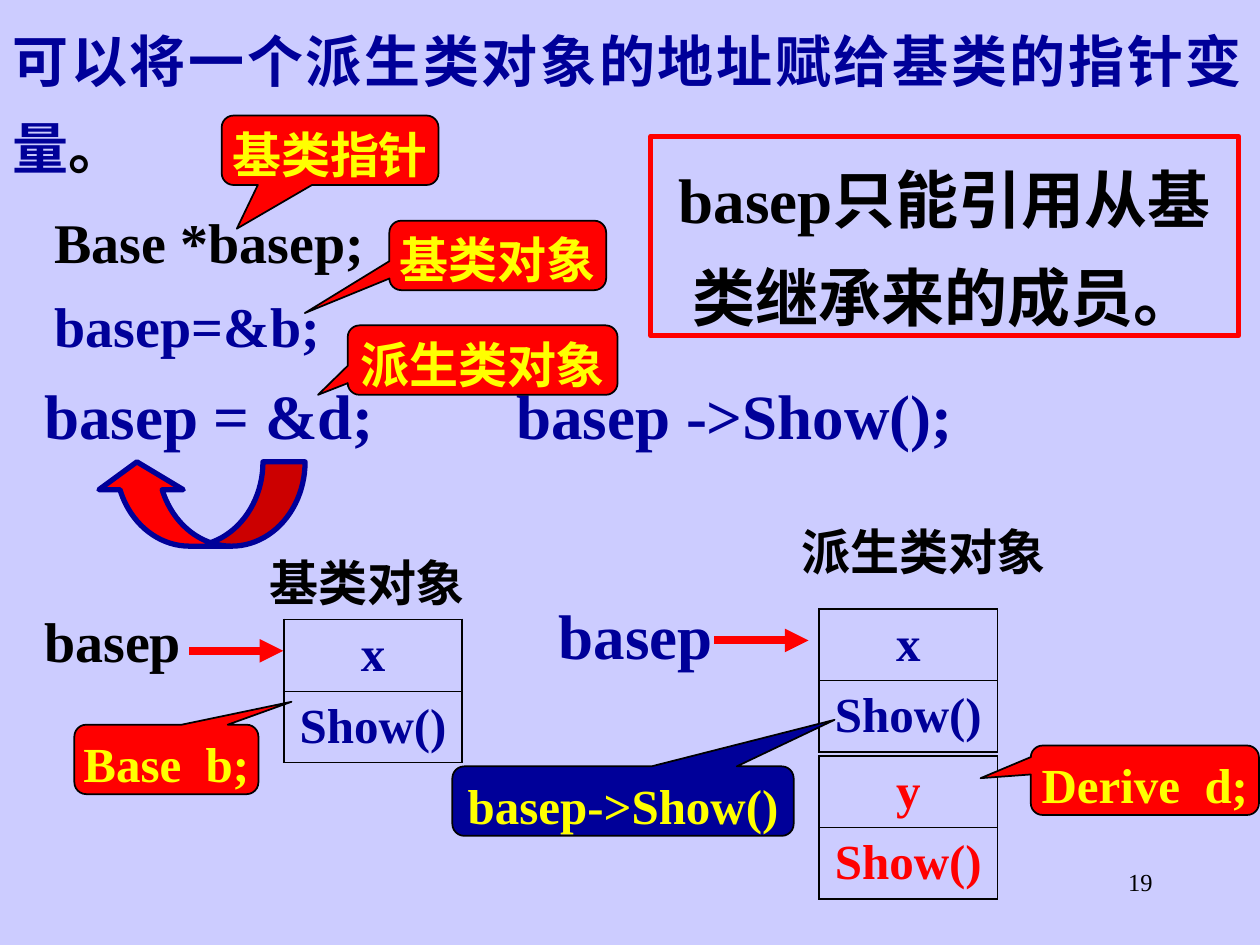
from dataclasses import dataclass

from lxml import etree
from pptx import Presentation
from pptx.dml.color import RGBColor
from pptx.enum.shapes import MSO_CONNECTOR, MSO_SHAPE
from pptx.enum.text import MSO_ANCHOR, MSO_AUTO_SIZE, PP_ALIGN
from pptx.oxml.ns import qn
from pptx.util import Cm, Pt

LEFT, CENTER, RIGHT, JUSTIFY = PP_ALIGN.LEFT, PP_ALIGN.CENTER, PP_ALIGN.RIGHT, PP_ALIGN.JUSTIFY
TOP, MIDDLE = MSO_ANCHOR.TOP, MSO_ANCHOR.MIDDLE
FIXED = MSO_AUTO_SIZE.NONE
STRAIGHT = MSO_CONNECTOR.STRAIGHT
RECT = MSO_SHAPE.RECTANGLE
CALLOUT = MSO_SHAPE.ROUNDED_RECTANGULAR_CALLOUT
CURVE = MSO_SHAPE.CURVED_DOWN_ARROW


@dataclass(frozen=True)
class Theme:
    font: str = "Times New Roman"
    back: str = "CCCCFF"
    blue: str = "000099"
    red: str = "FF0000"
    gold: str = "FFFF00"
    black: str = "000000"
    page: int = 14
    label: int = 28
    code: int = 32
    large: int = 36


THEME = Theme()


def rgb(code):
    return RGBColor.from_string(code)


def apply(item, form):
    for name, value in form.items():
        setattr(item, name, value)


def write(frame, runs, size, align=LEFT, space=1.1, pad=(0.05, 0.03), wrap=True, bold=True):
    side, edge = map(Cm, pad)
    apply(frame, {
        "word_wrap": wrap, "auto_size": FIXED, "vertical_anchor": TOP,
        "margin_left": side, "margin_right": side,
        "margin_top": edge, "margin_bottom": edge,
    })
    fill_line(frame.paragraphs[0], runs, size, align, space, bold)


def fill_line(para, runs, size, align, space=1.0, bold=True):
    apply(para, {"alignment": align, "line_spacing": space, "space_before": Pt(0)})
    for text, color in runs:
        run = para.add_run()
        run.text = text
        apply(run.font, {"name": THEME.font, "size": Pt(size), "bold": bold})
        run.font.color.rgb = rgb(color)


def add_title(slide, runs):
    title = slide.shapes.title
    apply(title, {"left": Cm(0), "top": Cm(0), "width": Cm(25.3), "height": Cm(2.03)})
    write(title.text_frame, runs, THEME.code, JUSTIFY, 1.3, (0.25, 0.13))
    title.text_frame.paragraphs[0]._p.get_or_add_pPr().set("hangingPunct", "0")


def add_text(slide, box, text, color, size, **form):
    shape = slide.shapes.add_textbox(*map(Cm, box))
    write(shape.text_frame, [(text, color)], size, **form)


def add_form(slide, kind, box, fill, line, width, turns=()):
    shape = slide.shapes.add_shape(kind, *map(Cm, box))
    shape.shadow.inherit = False
    if fill:
        shape.fill.solid()
        shape.fill.fore_color.rgb = rgb(fill)
    else:
        shape.fill.background()
    shape.line.color.rgb = rgb(line)
    shape.line.width = Pt(width)
    for i, turn in enumerate(turns):
        shape.adjustments[i] = turn
    return shape


def add_callout(slide, box, text, tip, fill):
    shape = add_form(slide, CALLOUT, box, fill, THEME.black, 1, (*tip, 0.17))
    write(shape.text_frame, [(text, THEME.gold)], THEME.label, CENTER,
          pad=(0.05, 0), wrap=False)


def add_arrow(slide, left, top):
    arrow = slide.shapes.add_connector(STRAIGHT, Cm(left), Cm(top), Cm(left + 1.9), Cm(top))
    arrow.line.color.rgb = rgb(THEME.red)
    arrow.line.width = Pt(4.5)
    props = arrow._element.spPr
    etree.SubElement(props.find(qn("a:ln")), qn("a:tailEnd"), type="triangle")
    etree.SubElement(props, qn("a:effectLst"))


def add_border(cell, side, width):
    line = etree.SubElement(cell._tc.get_or_add_tcPr(), qn("a:ln" + side), w=str(Pt(width)))
    solid = etree.SubElement(line, qn("a:solidFill"))
    etree.SubElement(solid, qn("a:srgbClr"), val=THEME.black)


def add_object(slide, left, top, names, color):
    high = 1.44
    table = slide.shapes.add_table(
        len(names), 1, Cm(left), Cm(top), Cm(3.6), Cm(high * len(names))).table
    apply(table, {"first_row": False, "horz_banding": False})
    last = len(names) - 1
    for i, name in enumerate(names):
        table.rows[i].height = Cm(high)
        cell = table.cell(i, 0)
        widths = {"L": 1.08, "R": 1.08,
                  "T": 0.45 if i else 1.08, "B": 0.45 if i < last else 1.08}
        for side, width in widths.items():
            add_border(cell, side, width)
        cell.fill.background()
        cell.vertical_anchor = MIDDLE
        fill_line(cell.text_frame.paragraphs[0], [(name, color)], THEME.label, CENTER)


def main():
    deck = Presentation()
    apply(deck, {"slide_width": Cm(25.4), "slide_height": Cm(19.05)})
    slide = deck.slides.add_slide(deck.slide_layouts[5])
    slide.background.fill.solid()
    slide.background.fill.fore_color.rgb = rgb(THEME.back)
    t = THEME

    add_title(slide, [("可以将一个派生类对象的地址赋给基类的指针变量", t.blue), ("。", t.black)])
    add_text(slide, (18.21, 17.35, 5.28, 1.27), "19", t.black, t.page,
             align=RIGHT, space=1.0, pad=(0.25, 0.13), bold=False)

    for box, text in (
        ((5.28, 11, 4.24, 1.37), "基类对象"),
        ((16.08, 10.36, 5.08, 1.37), "派生类对象"),
    ):
        add_text(slide, box, text, t.black, t.label, align=CENTER)

    for box, text, color, size in (
        ((1.05, 4.02, 7.62, 1.55), "Base *basep;", t.black, t.code),
        ((1.05, 5.71, 7.62, 1.55), "basep=&b;", t.blue, t.code),
        ((0.84, 7.41, 6.78, 1.73), "basep = &d;", t.blue, t.large),
        ((10.36, 7.41, 11.43, 1.73), "basep ->Show();", t.blue, t.large),
        ((0.84, 12.07, 3.18, 1.55), "basep", t.black, t.code),
        ((11.21, 11.85, 3.6, 1.73), "basep", t.blue, t.large),
    ):
        add_text(slide, box, text, color, size)

    add_arrow(slide, 3.81, 13.12)
    add_arrow(slide, 14.4, 12.91)
    curve = add_form(slide, CURVE, (1.91, 9.31, 4.24, 1.7), t.red, t.blue, 3, (0.5, 1, 0.33))
    curve.rotation = 180

    note = add_form(slide, RECT, (13.12, 2.75, 11.85, 4.02), None, t.red, 3)
    write(note.text_frame, [("basep只能引用从基类继承来的成员。", t.black)], t.large, CENTER, 1.3)

    for left, top, names, color in (
        (5.72, 12.49, ("x", "Show()"), t.blue),
        (16.51, 12.28, ("x", "Show()"), t.blue),
        (16.51, 15.24, ("y", "Show()"), t.red),
    ):
        add_object(slide, left, top, names, color)

    for left, top, width, text, tip, fill in (
        (1.5, 14.61, 3.71, "Base  b;", (0.68, -0.83), t.red),
        (20.78, 15.03, 4.6, "Derive  d;", (-0.72, -0.03), t.red),
        (9.12, 15.45, 6.88, "basep->Show()", (0.62, -1.17), t.blue),
        (4.47, 2.33, 4.37, "基类指针", (-0.43, 1.13), t.red),
        (7.01, 6.56, 5.44, "派生类对象", (-0.61, 0.5), t.red),
        (7.85, 4.45, 4.37, "基类对象", (-0.89, 0.83), t.red),
    ):
        add_callout(slide, (left, top, width, 1.4), text, tip, fill)

    deck.save("out.pptx")


if __name__ == "__main__":
    main()
